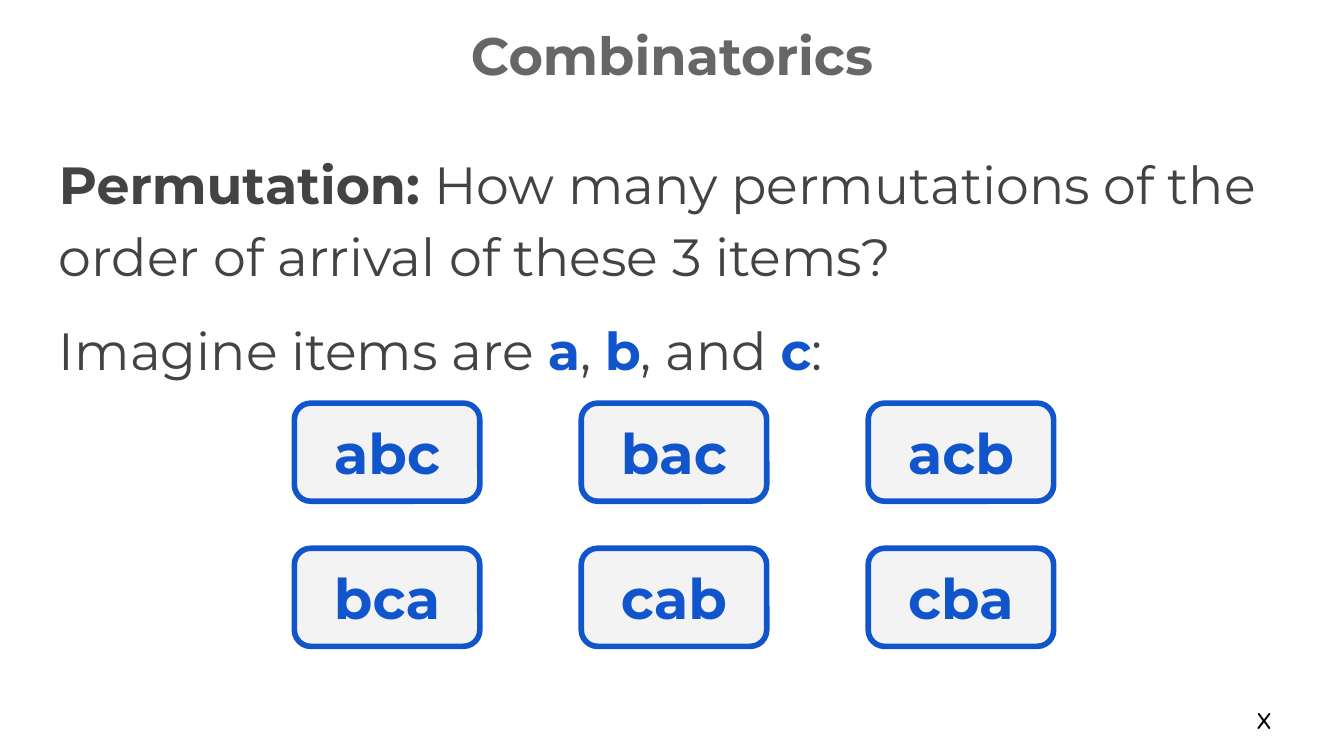
import pptx
import pptx.util
import pptx.dml.color
import pptx.enum.shapes
import pptx.enum.text

Inches, Pt = pptx.util.Inches, pptx.util.Pt
ALIGN = pptx.enum.text.PP_ALIGN
ANCHOR = pptx.enum.text.MSO_ANCHOR

COLORS = {"title": "666666", "body": "434343", "accent": "1155CC",
          "card": "F3F3F3", "mark": "000000"}
FRAME = {"word_wrap": True, "auto_size": pptx.enum.text.MSO_AUTO_SIZE.NONE,
         "margin_left": Inches(0.1), "margin_right": Inches(0.1),
         "margin_top": Inches(0.1), "margin_bottom": Inches(0.1)}


def rgb(name):
    return pptx.dml.color.RGBColor.from_string(COLORS[name])


def write(frame, paragraphs, size, align, anchor, font="Montserrat"):
    """Fill a text frame; each paragraph is a list of (text, color, bold)."""
    for key, value in {**FRAME, "vertical_anchor": anchor}.items():
        setattr(frame, key, value)
    for index, pieces in enumerate(paragraphs):
        paragraph = frame.add_paragraph() if index else frame.paragraphs[0]
        paragraph.alignment = align
        for text, color, bold in pieces:
            run = paragraph.add_run()
            run.text = text
            for key, value in {"name": font, "size": Pt(size), "bold": bold}.items():
                setattr(run.font, key, value)
            run.font.color.rgb = rgb(color)


# Widescreen 16:9 slide
deck = pptx.Presentation()
deck.slide_width = Inches(10)
deck.slide_height = Inches(10 * 9 / 16)
slide = deck.slides.add_slide(deck.slide_layouts[5])

# Corner mark
corner_mark = slide.shapes.add_textbox(Inches(9.19), Inches(5.17), Inches(0.43), Inches(0.4))
write(corner_mark.text_frame, [[("X", "mark", True)]], 11, ALIGN.CENTER, ANCHOR.MIDDLE, "Comfortaa")

# Title
title = slide.shapes.title
for key, value in {"left": 0.34, "top": 0.07, "width": 9.32, "height": 0.63}.items():
    setattr(title, key, Inches(value))
write(title.text_frame, [[("Combinatorics", "title", True)]], 28.2, ALIGN.CENTER, ANCHOR.TOP)

# Question
question = slide.shapes.add_textbox(Inches(0.34), Inches(0.96), Inches(9.32), Inches(4.04))
write(question.text_frame, [
    [("Permutation: ", "body", True),
     ("How many permutations of the order of arrival of these 3 items?", "body", False)],
    [("Imagine items are ", "body", False), ("a", "accent", True),
     (", ", "body", False), ("b", "accent", True),
     (", and ", "body", False), ("c", "accent", True), (":", "body", False)],
], 28, ALIGN.LEFT, ANCHOR.TOP)
for paragraph in question.text_frame.paragraphs:
    paragraph.line_spacing = 1.15
question.text_frame.paragraphs[1].space_before = Pt(12)

# Permutation cards
for row, orders in enumerate([["abc", "bac", "acb"], ["bca", "cab", "cba"]]):
    for column, order in enumerate(orders):
        card = slide.shapes.add_shape(
            pptx.enum.shapes.MSO_SHAPE.ROUNDED_RECTANGLE,
            Inches(2.19 + 4.27 * column / 2), Inches(3 + 1.08 * row), Inches(1.38), Inches(0.73))
        card.shadow.inherit = False
        card.fill.solid()
        card.fill.fore_color.rgb = rgb("card")
        card.line.color.rgb = rgb("accent")
        card.line.width = Pt(3)
        write(card.text_frame, [[(order, "accent", True)]], 30, ALIGN.CENTER, ANCHOR.MIDDLE)

deck.save("out.pptx")
